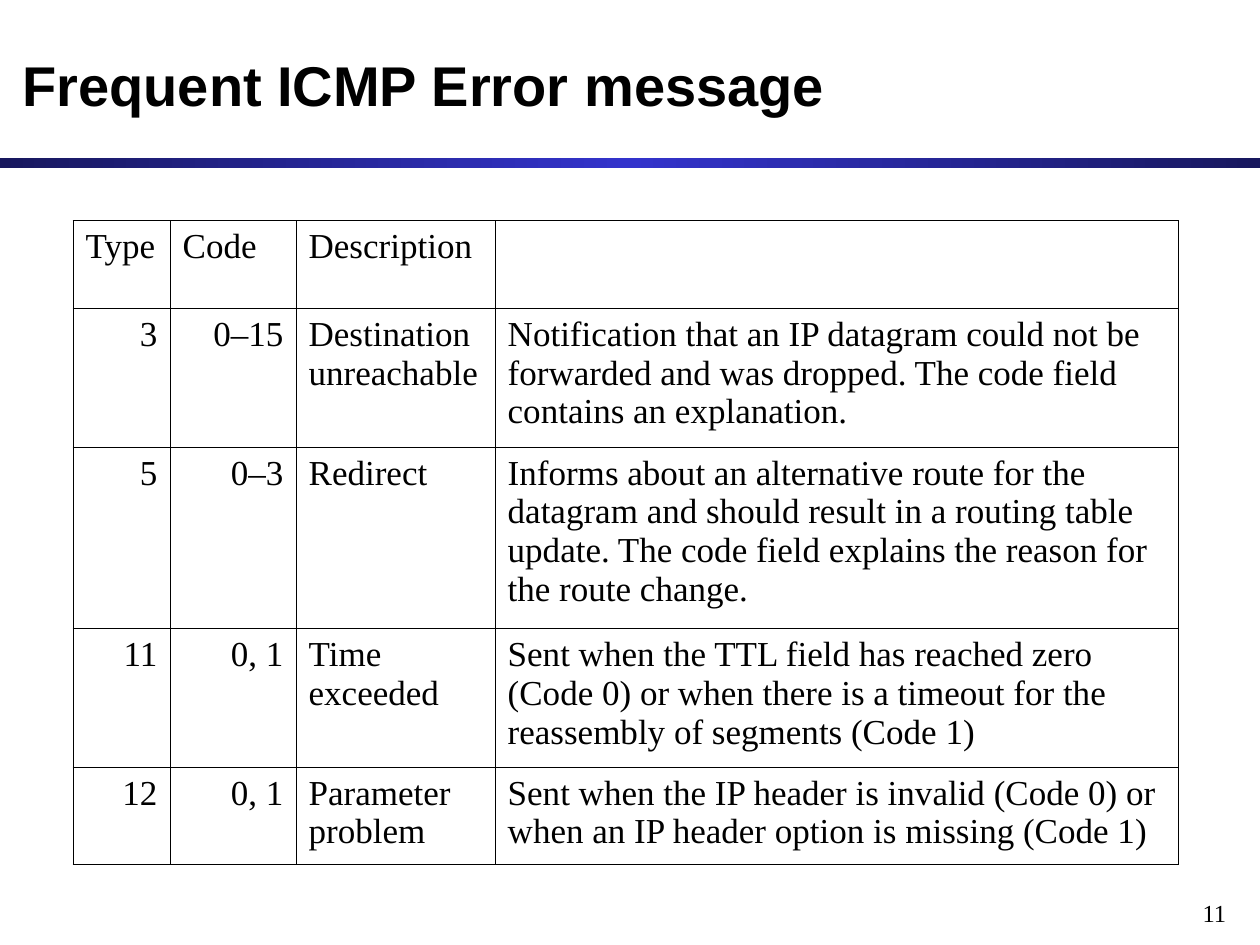
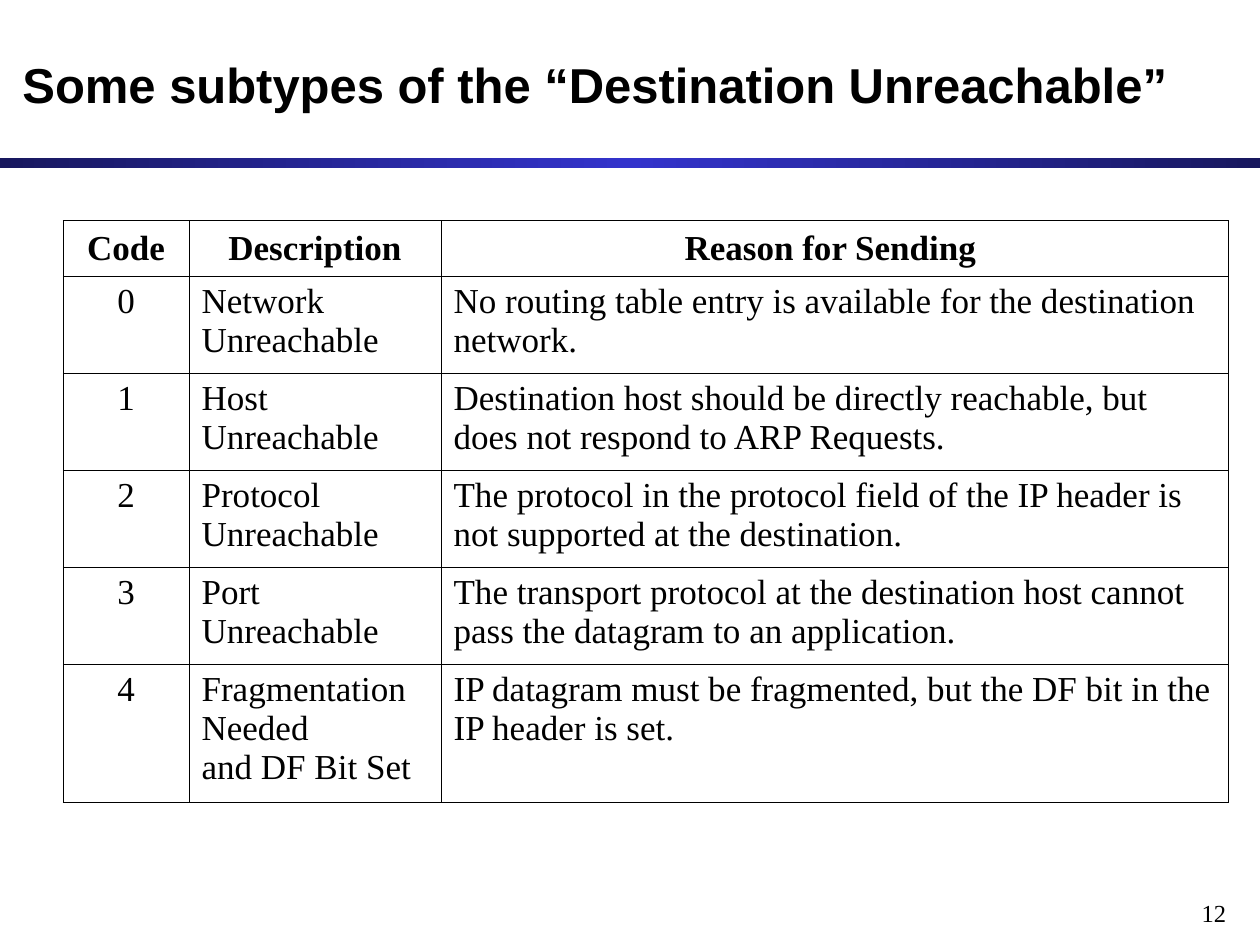
from copy import deepcopy
from dataclasses import dataclass

from lxml.etree import SubElement as Sub
from pptx import Presentation
from pptx.dml.color import RGBColor as RGB
from pptx.enum.shapes import MSO_SHAPE as Shape
from pptx.enum.text import MSO_ANCHOR as Anchor, PP_ALIGN as Align
from pptx.oxml.ns import qn
from pptx.util import Inches, Pt


@dataclass(frozen=True)
class Theme:
    ink: str = "000000"
    dark: str = "18185E"
    blue: str = "3333CC"
    head: str = "Arial"
    body: str = "Times New Roman"
    cell: int = 20
    foot: int = 14


@dataclass(frozen=True)
class Grid:
    box: tuple  # left, top
    cols: tuple
    rows: tuple
    line: float  # border width in points
    aligns: tuple  # body alignment per column
    top: tuple  # header alignment, anchor, bold
    data: tuple


THEME = Theme()
LEFT, MID, RIGHT = Align.LEFT, Align.CENTER, Align.RIGHT

ERRORS = Grid(
    box=(0.58, 1.75),
    cols=(0.77, 1, 1.58, 5.42),
    rows=(0.7, 1.1, 1.44, 1.1, 0.77),
    line=0.45,
    aligns=(RIGHT, RIGHT, LEFT, LEFT),
    top=(Align.JUSTIFY, Anchor.TOP, False),
    data=(
        ("Type", "Code", "Description", ""),
        ("3", "0–15", "Destination unreachable",
         "Notification that an IP datagram could not be forwarded and was "
         "dropped. The code field contains an explanation."),
        ("5", "0–3", "Redirect",
         "Informs about an alternative route for the datagram and should "
         "result in a routing table update. The code field explains the "
         "reason for the route change."),
        ("11", "0, 1", "Time exceeded",
         "Sent when the TTL field has reached zero (Code 0) or when there is "
         "a timeout for the reassembly of segments (Code 1)"),
        ("12", "0, 1", "Parameter\nproblem",
         "Sent when the IP header is invalid (Code 0) or when an IP header "
         "option is missing (Code 1)"),
    ),
)

CODES = Grid(
    box=(0.5, 1.75),
    cols=(1, 2, 6.25),
    rows=(0.44, 0.77, 0.77, 0.77, 0.77, 1.1),
    line=0.34,
    aligns=(MID, LEFT, LEFT),
    top=(MID, Anchor.MIDDLE, True),
    data=(
        ("Code", "Description", "Reason for Sending "),
        ("0", "Network Unreachable",
         "No routing table entry is available for the destination network."),
        ("1", "Host Unreachable",
         "Destination host should be directly reachable, but does not "
         "respond to ARP Requests."),
        ("2", "Protocol Unreachable",
         "The protocol in the protocol field of the IP header is not "
         "supported at the destination."),
        ("3", "Port Unreachable",
         "The transport protocol at the destination host cannot pass the "
         "datagram to an application."),
        ("4", "Fragmentation Needed \nand DF Bit Set",
         "IP datagram must be fragmented, but the DF bit in the IP header "
         "is set."),
    ),
)


def write(frame, text, font, size, bold=False, align=LEFT, anchor=Anchor.TOP):
    """Set one paragraph; a newline becomes a line break."""
    frame.word_wrap = True
    frame.vertical_anchor = anchor
    para = frame.paragraphs[0]
    para.alignment = align
    para.font.size = Pt(size)
    for i, part in enumerate(text.split("\n")):
        if i:
            para.add_line_break()
        if part:
            run = para.add_run()
            run.text = part
            run.font.name = font
            run.font.size = Pt(size)
            run.font.bold = bold
            run.font.color.rgb = RGB.from_string(THEME.ink)


def band(slide, box):
    """Rule under the title, bright in the middle."""
    bar = slide.shapes.add_shape(Shape.RECTANGLE, *map(Inches, box))
    bar.shadow.inherit = False
    bar.line.fill.background()
    bar.fill.gradient()
    bar.fill.gradient_angle = 0
    ends = bar.fill.gradient_stops
    for stop, spot in zip(ends, (0, 1)):
        stop.color.rgb = RGB.from_string(THEME.dark)
        stop.position = spot
    stops = bar.fill._fill._gradFill.find(qn("a:gsLst"))
    stops.insert(1, deepcopy(stops[0]))
    core = bar.fill.gradient_stops[1]
    core.color.rgb = RGB.from_string(THEME.blue)
    core.position = 0.5


def label(slide, box, text, font, size, **style):
    frame = slide.shapes.add_textbox(*map(Inches, box)).text_frame
    write(frame, text, font, size, **style)


def edge(cell, width):
    """Draw all four borders of a cell."""
    props = cell._tc.get_or_add_tcPr()
    for i, side in enumerate(("lnL", "lnR", "lnT", "lnB")):
        line = props.makeelement(qn("a:" + side), {"w": str(Pt(width))})
        fill = Sub(line, qn("a:solidFill"))
        Sub(fill, qn("a:srgbClr"), val=THEME.ink)
        props.insert(i, line)


def table(slide, grid):
    size = (*grid.box, sum(grid.cols), sum(grid.rows))
    tab = slide.shapes.add_table(
        len(grid.rows), len(grid.cols), *map(Inches, size)).table
    tab.first_row = tab.horz_banding = False
    for col, width in zip(tab.columns, grid.cols):
        col.width = Inches(width)
    for row, height in zip(tab.rows, grid.rows):
        row.height = Inches(height)
    for r, texts in enumerate(grid.data):
        for c, text in enumerate(texts):
            cell = tab.cell(r, c)
            body = (grid.aligns[c], Anchor.TOP, False)
            align, anchor, bold = body if r else grid.top
            write(cell.text_frame, text, THEME.body, THEME.cell, bold, align)
            cell.vertical_anchor = anchor
            cell.fill.background()
            edge(cell, grid.line)


def page(deck, title, size, number, grid):
    slide = deck.slides.add_slide(deck.slide_layouts[6])
    band(slide, (0, 1.25, 10, 0.08))
    # Page number
    label(slide, (7.75, 7.08, 2.08, 0.25), str(number), THEME.body,
          THEME.foot, align=RIGHT)
    # Title
    label(slide, (0.08, 0.17, 9.83, 1), title, THEME.head, size,
          bold=True, anchor=Anchor.MIDDLE)
    table(slide, grid)


def main():
    deck = Presentation()
    deck.slide_width, deck.slide_height = Inches(10), Inches(7.5)
    page(deck, "Frequent ICMP Error message", 32, 11, ERRORS)
    page(deck, "Some subtypes of the “Destination Unreachable”", 28, 12, CODES)
    deck.save("out.pptx")


if __name__ == "__main__":
    main()
